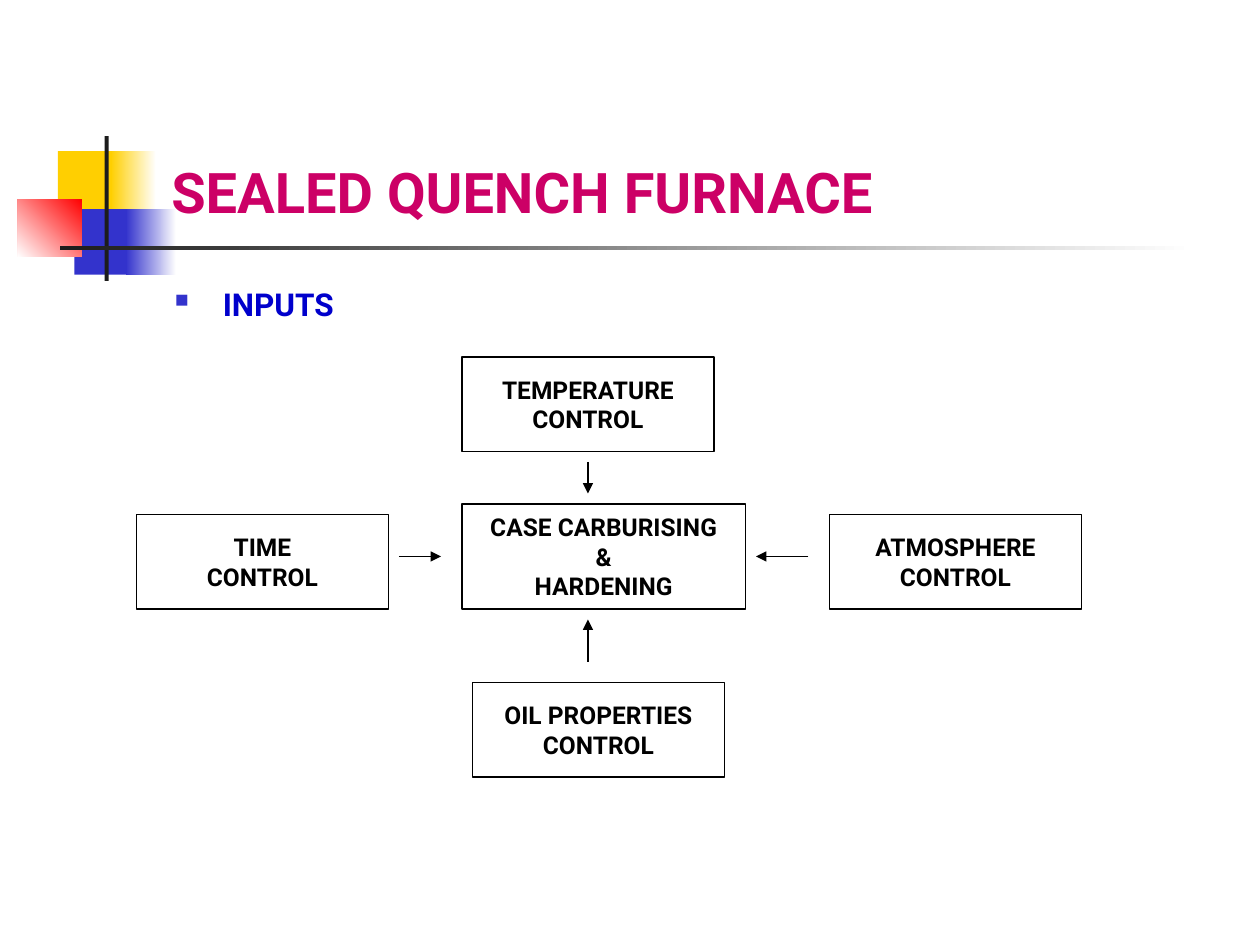
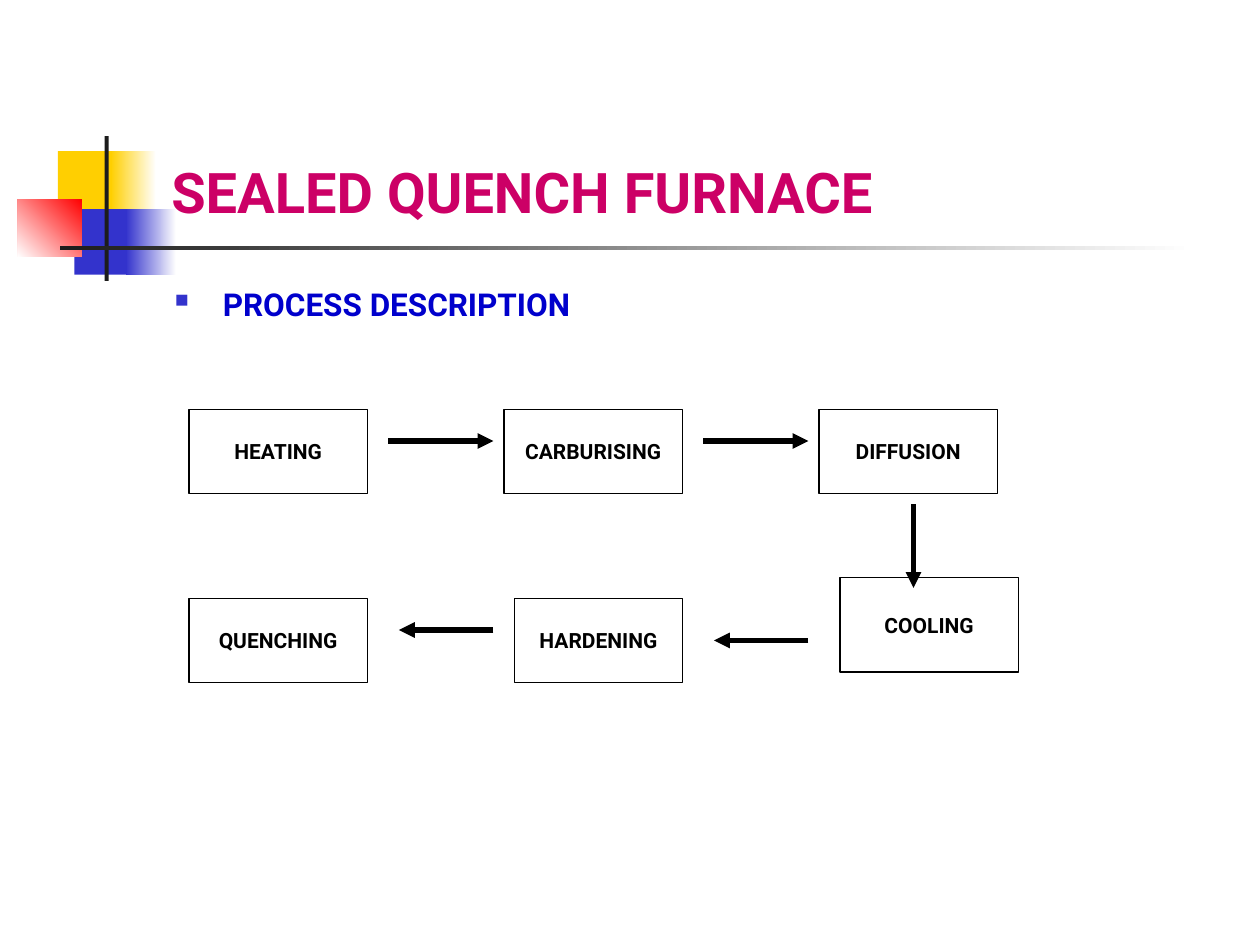
import collections
import dataclasses
import pptx
import pptx.dml.color
import pptx.enum.shapes
import pptx.enum.text
import pptx.oxml.ns
import pptx.util
from lxml import etree

COLS, ROWS = 120, 90
ALIGN = pptx.enum.text.PP_ALIGN
ANCHOR = pptx.enum.text.MSO_ANCHOR
Box = collections.namedtuple("Box", "x y w h")


@dataclasses.dataclass(frozen=True)
class Theme:
    font: str = "Roboto"
    title: str = "CC0066"
    head: str = "0000CC"
    ink: str = "000000"
    dark: str = "1C1C1C"
    blue: str = "3333CC"
    gold: str = "FFCF01"
    red: str = "FF0000"
    white: str = "FFFFFF"
    title_size: int = 32
    head_size: int = 18
    hub_size: int = 14
    step_size: int = 12
    thin: float = 0.75
    thick: float = 3


THEME = Theme()
TITLE_BOX = Box(15.12, 2.76, 102.24, 19.2)
HEAD_BOX = Box(15.48, 26.52, 102, 54)


def rgb(code):
    return pptx.dml.color.RGBColor.from_string(code)


def across(n):
    """Width of n grid columns."""
    return pptx.util.Inches(10 * n / COLS)


def down(n):
    """Height of n grid rows."""
    return pptx.util.Inches(7.5 * n / ROWS)


def place(box):
    return across(box.x), down(box.y), across(box.w), down(box.h)


def sub(parent, tag, **attrs):
    return etree.SubElement(parent, pptx.oxml.ns.qn(tag), attrs)


def write(frame, text, size, color, align=ALIGN.LEFT, anchor=ANCHOR.TOP,
          wrap=True, bullet=None):
    frame.word_wrap = wrap
    frame.vertical_anchor = anchor
    frame.auto_size = pptx.enum.text.MSO_AUTO_SIZE.NONE
    frame.text = text
    for para in frame.paragraphs:
        para.alignment = align
        if bullet:
            props = para._p.get_or_add_pPr()
            props.set("marL", str(pptx.util.Inches(0.38)))
            props.set("indent", str(-pptx.util.Inches(0.38)))
            sub(sub(props, "a:buClr"), "a:srgbClr", val=bullet)
            sub(props, "a:buSzPct", val="60000")
            sub(props, "a:buChar", char="■")
        for run in para.runs:
            run.font.name = THEME.font
            run.font.size = pptx.util.Pt(size)
            run.font.bold = True
            run.font.color.rgb = rgb(color)


def rect(slide, box):
    shape = slide.shapes.add_shape(
        pptx.enum.shapes.MSO_SHAPE.RECTANGLE, *place(box))
    shape.shadow.inherit = False
    return shape


def tile(slide, box, start, end=None, angle=180):
    """Borderless block, solid or fading from start to end."""
    shape = rect(slide, box)
    shape.line.fill.background()
    if end is None:
        shape.fill.solid()
        shape.fill.fore_color.rgb = rgb(start)
        return
    shape.fill.gradient()
    shape.fill.gradient_angle = angle
    for stop, color, spot in zip(shape.fill.gradient_stops, (start, end), (0, 1)):
        stop.color.rgb = rgb(color)
        stop.position = spot


def motif(slide):
    """Coloured blocks, upright bar and fading rule behind the title."""
    tile(slide, Box(5.52, 14.4, 5.76, 6.24), THEME.gold)
    tile(slide, Box(10.56, 14.4, 4.32, 6.24), THEME.white, THEME.gold)
    tile(slide, Box(7.08, 19.92, 5.52, 6.24), THEME.blue)
    tile(slide, Box(12, 19.92, 4.8, 6.24), THEME.white, THEME.blue)
    tile(slide, Box(1.68, 18.96, 6.12, 5.52), THEME.red, THEME.white, angle=225)
    tile(slide, Box(9.96, 12.96, 0.4, 13.8), THEME.dark)
    tile(slide, Box(5.76, 23.4, 108, 0.4), THEME.white, THEME.dark)


def page(deck, title, head):
    slide = deck.slides.add_slide(deck.slide_layouts[5])
    motif(slide)
    holder = slide.shapes.title
    holder.left, holder.top, holder.width, holder.height = place(TITLE_BOX)
    write(holder.text_frame, title, THEME.title_size, THEME.title,
          anchor=ANCHOR.BOTTOM)
    slide.shapes.element.append(holder.element)
    body = slide.shapes.add_textbox(*place(HEAD_BOX))
    write(body.text_frame, head, THEME.head_size, THEME.head, bullet=THEME.blue)
    return slide


def node(slide, box, text, size):
    shape = rect(slide, box)
    shape.fill.background()
    shape.line.color.rgb = rgb(THEME.ink)
    shape.line.width = pptx.util.Pt(THEME.thin)
    write(shape.text_frame, text, size, THEME.ink, align=ALIGN.CENTER,
          anchor=ANCHOR.MIDDLE, wrap=False)


def arrow(slide, x1, y1, x2, y2, width):
    line = slide.shapes.add_connector(
        pptx.enum.shapes.MSO_CONNECTOR.STRAIGHT,
        across(x1), down(y1), across(x2), down(y2))
    line.line.color.rgb = rgb(THEME.ink)
    line.line.width = pptx.util.Pt(width)
    sub(line.line._get_or_add_ln(), "a:tailEnd", type="triangle")
    sub(line.element.spPr, "a:effectLst")


def chart(slide, area, nodes, arrows, size, width):
    """Nodes and arrows, in grid cells from the area's corner."""
    for text, x, y, w, h in nodes:
        node(slide, Box(area.x + x, area.y + y, w, h), text, size)
    for x1, y1, x2, y2 in arrows:
        arrow(slide, area.x + x1, area.y + y1, area.x + x2, area.y + y2, width)


def inputs(slide, area):
    """Four controls pointing at the process in the middle."""
    spots = {"TEMPERATURE": (31, 0), "ATMOSPHERE": (66, 15),
             "TIME": (0, 15), "OIL PROPERTIES": (32, 31)}
    nodes = [("CASE CARBURISING\n&\nHARDENING", 31, 14, 27, 10)]
    nodes += [(f"{name}\nCONTROL", x, y, 24, 9) for name, (x, y) in spots.items()]
    arrows = [(43, 10, 43, 13), (25, 19, 29, 19),
              (64, 19, 59, 19), (43, 29, 43, 25)]
    chart(slide, area, nodes, arrows, THEME.hub_size, THEME.thin)


def steps(slide, area):
    """Upper row runs right, lower row runs back left."""
    pitch = 30
    names = ("HEATING", "CARBURISING", "DIFFUSION")
    nodes = [(name, pitch * i, 0, 17, 8) for i, name in enumerate(names)]
    nodes += [("COOLING", 62, 16, 17, 9), ("HARDENING", 31, 18, 16, 8),
              ("QUENCHING", 0, 18, 17, 8)]
    arrows = [(pitch * i + 19, 3, pitch * i + 29, 3) for i in range(2)]
    arrows += [(69, 9, 69, 17), (59, 22, 50, 22), (29, 21, 20, 21)]
    chart(slide, area, nodes, arrows, THEME.step_size, THEME.thick)


def main():
    deck = pptx.Presentation()
    deck.slide_width, deck.slide_height = across(COLS), down(ROWS)
    title = "SEALED QUENCH FURNACE"
    inputs(page(deck, title, "INPUTS"), Box(13, 34, 90, 40))
    steps(page(deck, title, "PROCESS DESCRIPTION"), Box(18, 39, 79, 26))
    deck.save("out.pptx")


if __name__ == "__main__":
    main()
